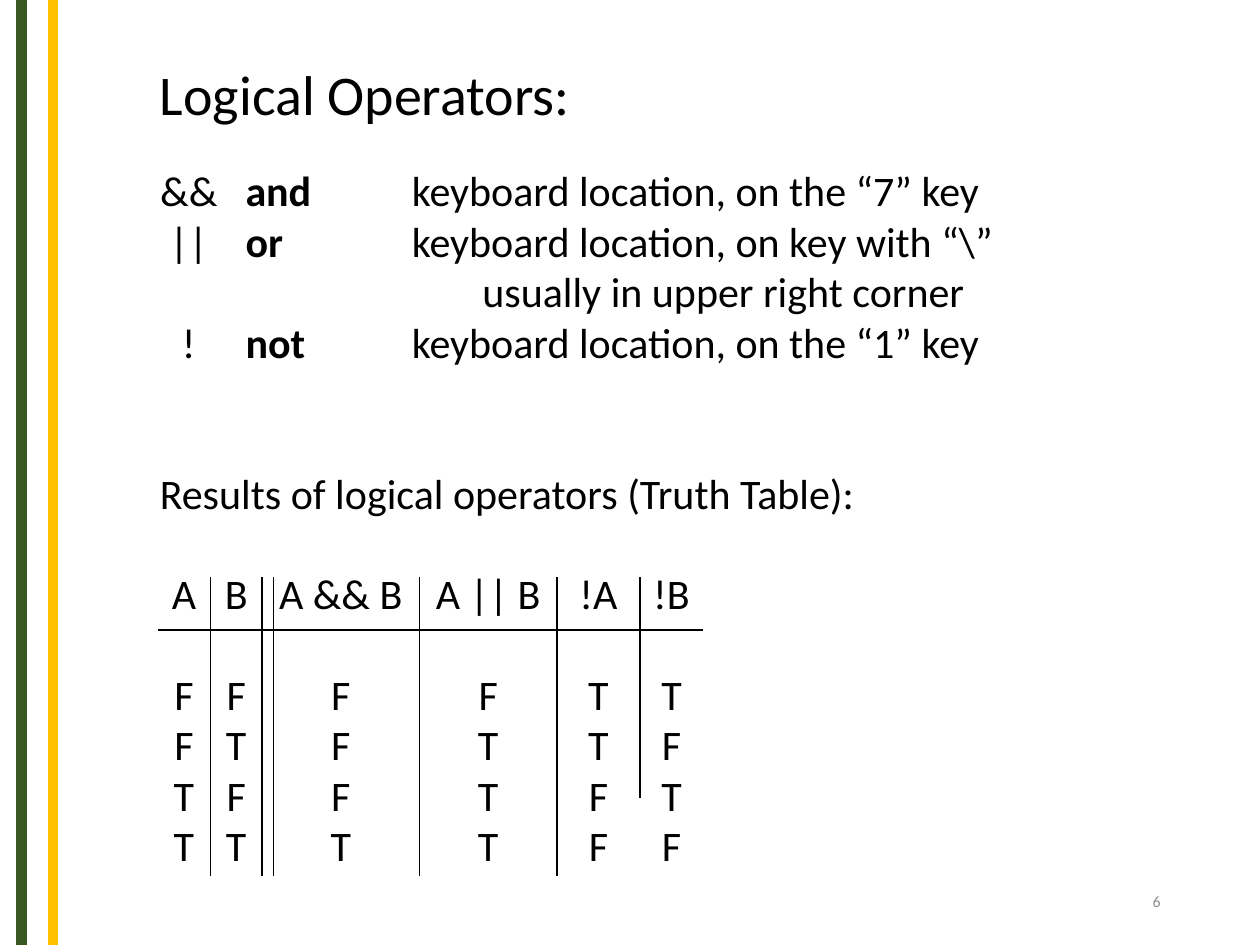
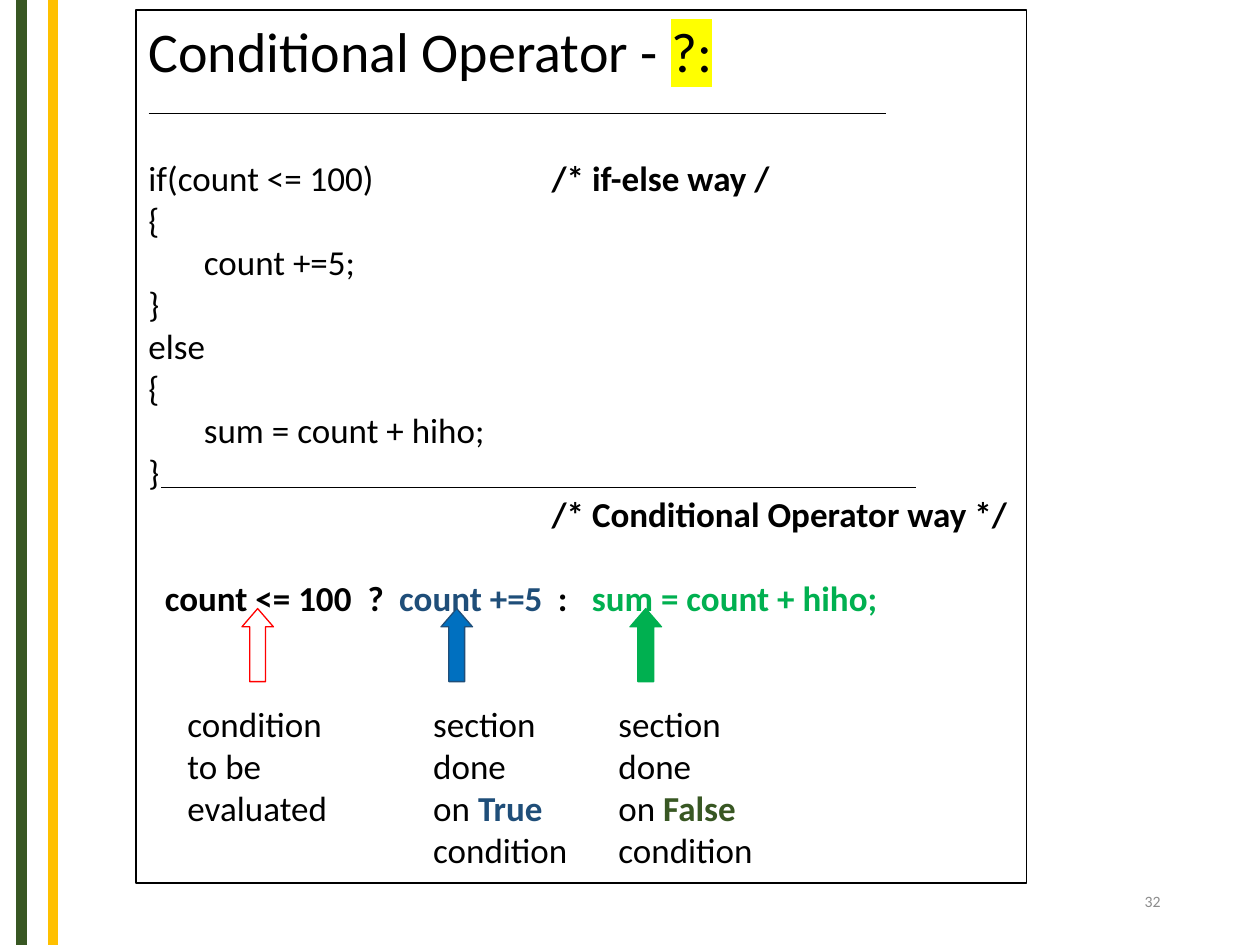
from lxml import etree
from pptx import Presentation
from pptx.dml.color import RGBColor
from pptx.enum.shapes import MSO_CONNECTOR, MSO_SHAPE
from pptx.enum.text import MSO_ANCHOR, PP_ALIGN
from pptx.oxml.ns import qn
from pptx.util import Inches, Pt

STRAIGHT = MSO_CONNECTOR.STRAIGHT
RECT, UP_ARROW = MSO_SHAPE.RECTANGLE, MSO_SHAPE.UP_ARROW
TOP, MIDDLE = MSO_ANCHOR.TOP, MSO_ANCHOR.MIDDLE
LEFT, CENTER, RIGHT = PP_ALIGN.LEFT, PP_ALIGN.CENTER, PP_ALIGN.RIGHT

FONT = "Calibri"
TITLE_SIZE = 32
SLIDE_W, SLIDE_H = 10, 7.5
COLORS = {
    "text": "000000", "number": "8C8C8C", "band_green": "385723",
    "band_gold": "FFC000", "highlight": "FFFF00", "navy": "1F4E79",
    "blue": "0070C0", "green": "00B050", "red": "FF0000",
}


def rgb(name):
    return RGBColor.from_string(COLORS[name])


# Shared helpers
def add_line(s, x1, y1, x2, y2, color="text", width=0.75):
    line = s.shapes.add_connector(
        STRAIGHT, Inches(x1), Inches(y1), Inches(x2), Inches(y2))
    line.line.color.rgb = rgb(color)
    line.line.width = Pt(width)
    etree.SubElement(line._element.spPr, qn("a:effectLst"))


def style_shape(sp, line, fill=None):
    sp.shadow.inherit = False
    sp.line.color.rgb = rgb(line)
    sp.line.width = Pt(0.75)
    if fill:
        sp.fill.solid()
        sp.fill.fore_color.rgb = rgb(fill)
    else:
        sp.fill.background()


def style_run(r, size, color="text", bold=False):
    r.font.name = FONT
    r.font.size = Pt(size)
    r.font.bold = bold
    r.font.color.rgb = rgb(color)


def highlight(r, color):
    mark = etree.Element(qn("a:highlight"))
    etree.SubElement(mark, qn("a:srgbClr"), val=COLORS[color])
    r.font._element.find(qn("a:solidFill")).addnext(mark)


def add_paragraph(tf, runs, size, tabs=(), before=0, align=LEFT):
    """Each run is (text, colour, bold); tabs are offsets in inches."""
    p = tf.paragraphs[0]
    if p.runs:
        p = tf.add_paragraph()
    p.alignment = align
    p.space_before = Pt(before)
    if tabs:
        tab_list = etree.SubElement(p._p.get_or_add_pPr(), qn("a:tabLst"))
        for pos, kind in tabs:
            etree.SubElement(tab_list, qn("a:tab"), pos=str(Inches(pos)), algn=kind)
    for text, color, bold in runs:
        r = p.add_run()
        r.text = text
        style_run(r, size, color, bold)
    return p


def plain(text):
    return [(text, "text", False)]


def left_tabs(*positions):
    return [(pos, "l") for pos in positions]


def add_text_box(s, box, anchor=TOP):
    tf = s.shapes.add_textbox(*map(Inches, box)).text_frame
    tf.word_wrap = True
    tf.vertical_anchor = anchor
    return tf


def new_slide(prs, number):
    s = prs.slides.add_slide(prs.slide_layouts[6])
    # Vertical bands on the left
    for x, color in ((0.17, "band_green"), (0.42, "band_gold")):
        add_line(s, x, 0, x, SLIDE_H, color, 6)
    # Slide number
    tf = add_text_box(s, (7.06, 6.95, 2.25, 0.4), MIDDLE)
    add_paragraph(tf, [(number, "number", False)], 9, align=RIGHT)
    return s


# Logical operators
def add_operator_list(s, box):
    tf = add_text_box(s, box)
    add_paragraph(tf, plain("Logical Operators:"), TITLE_SIZE)
    tabs = [(0.23, "ctr")] + left_tabs(0.68, 2, 2.56)
    rows = [
        ("&&", "and", "keyboard location, on the “7” key"),
        ("||", "or", "keyboard location, on key with “\\”"),
        None,
        ("!", "not", "keyboard location, on the “1” key"),
    ]
    for i, row in enumerate(rows):
        if row:
            symbol, word, place = row
            runs = [(f"\t{symbol}\t", "text", False), (word, "text", True),
                    (f"\t{place}", "text", False)]
        else:
            runs = plain("\t\t\t\tusually in upper right corner")
        add_paragraph(tf, runs, 24, tabs, before=0 if i else 22)
    add_paragraph(tf, plain("Results of logical operators (Truth Table):"),
                  24, before=58)


def add_truth_table(s, box):
    x, y, w, h = box
    widths = [0.42, 0.41, 1.25, 1.09, 0.66, 0.5]
    row_h = h / 6
    rows = [("A", "B", "A && B", "A || B", "!A", "!B")]
    for a in (False, True):
        for b in (False, True):
            values = (a, b, a and b, a or b, not a, not b)
            rows.append(["T" if v else "F" for v in values])

    table = s.shapes.add_table(
        len(rows), len(widths), *map(Inches, box)).table
    table.first_row = table.horz_banding = False
    for column, width in zip(table.columns, widths):
        column.width = Inches(width)
    for i, row in enumerate(rows):
        # The header row is twice as high as the others
        table.rows[i].height = Inches(row_h if i else 2 * row_h)
        for j, value in enumerate(row):
            cell = table.cell(i, j)
            cell.fill.background()
            cell.margin_left = cell.margin_right = 0
            cell.margin_top = cell.margin_bottom = 0
            add_paragraph(cell.text_frame, plain(value), 24, align=CENTER)

    # Rules: one below the header, a double one before the results
    add_line(s, x, y + 0.48, x + w, y + 0.48)
    top, bottom = y + 0.06, y + h + 0.03
    edges = [x + sum(widths[:n]) for n in range(1, len(widths))]
    for edge in edges[:-1] + [edges[1] + 0.09]:
        add_line(s, edge, top, edge, bottom)
    add_line(s, edges[-1], top, edges[-1], bottom - 0.62)


# Conditional operator
def add_conditional_panel(s, box):
    x, y, w, h = box
    sp = s.shapes.add_shape(RECT, *map(Inches, box))
    style_shape(sp, "text")
    tf = sp.text_frame
    tf.word_wrap = True
    tf.vertical_anchor = TOP
    tf.margin_right = 0

    p = add_paragraph(tf, plain("Conditional Operator - ") + plain("?:"), TITLE_SIZE)
    highlight(p.runs[1], "highlight")

    # The if-else way
    code_tabs = left_tabs(0.44, 3.2)
    add_paragraph(tf, plain("if(count <= 100)\t") + [("/* if-else way /", "text", True)],
                  20, left_tabs(3.2), before=41.5)
    for line in ("{", "\tcount +=5;", "}", "else", "{",
                 "\tsum = count + hiho;", "}"):
        add_paragraph(tf, plain(line), 20, code_tabs)

    # The conditional operator way
    add_paragraph(tf, [("\t\t/* Conditional Operator way */", "text", True)],
                  20, code_tabs)
    expression = [("\tcount <= 100\t?", "text", True), ("\tcount +=5", "navy", True),
                  ("\t:", "text", True), ("\tsum = count + hiho;", "green", True)]
    add_paragraph(tf, expression, 20,
                  left_tabs(0.13, 1.74, 1.99, 3.25, 3.52), before=24)

    # Labels of the three parts
    labels = [
        plain("\tcondition\tsection\tsection"),
        plain("\tto be\tdone\tdone"),
        plain("\tevaluated\ton ") + [("True", "navy", True)]
        + plain("\ton ") + [("False", "band_green", True)],
        plain("\t\tcondition\tcondition"),
    ]
    for i, runs in enumerate(labels):
        add_paragraph(tf, runs, 20, left_tabs(0.31, 2.26, 3.73),
                      before=0 if i else 48)

    # Rules below the title and below the if-else code
    add_line(s, x + 0.1, y + 0.82, x + 5.95, y + 0.82)
    add_line(s, x + 0.2, y + 3.79, x + 6.19, y + 3.79)

    # Arrows from the labels to the expression
    for dx, line, fill in ((0.84, "red", None), (2.42, "navy", "blue"),
                           (3.92, "green", "green")):
        arrow = s.shapes.add_shape(UP_ARROW, Inches(x + dx), Inches(y + 4.75),
                                   Inches(0.25), Inches(0.58))
        arrow.adjustments[1] = 0.58
        style_shape(arrow, line, fill)


def main():
    prs = Presentation()
    prs.slide_width, prs.slide_height = Inches(SLIDE_W), Inches(SLIDE_H)

    s = new_slide(prs, "6")
    add_operator_list(s, (1.17, 0.42, 7.58, 3.8))
    add_truth_table(s, (1.25, 4.52, 4.33, 2.4))

    s = new_slide(prs, "32")
    add_conditional_panel(s, (1.08, 0.08, 7.07, 6.93))

    prs.save("out.pptx")


if __name__ == "__main__":
    main()
